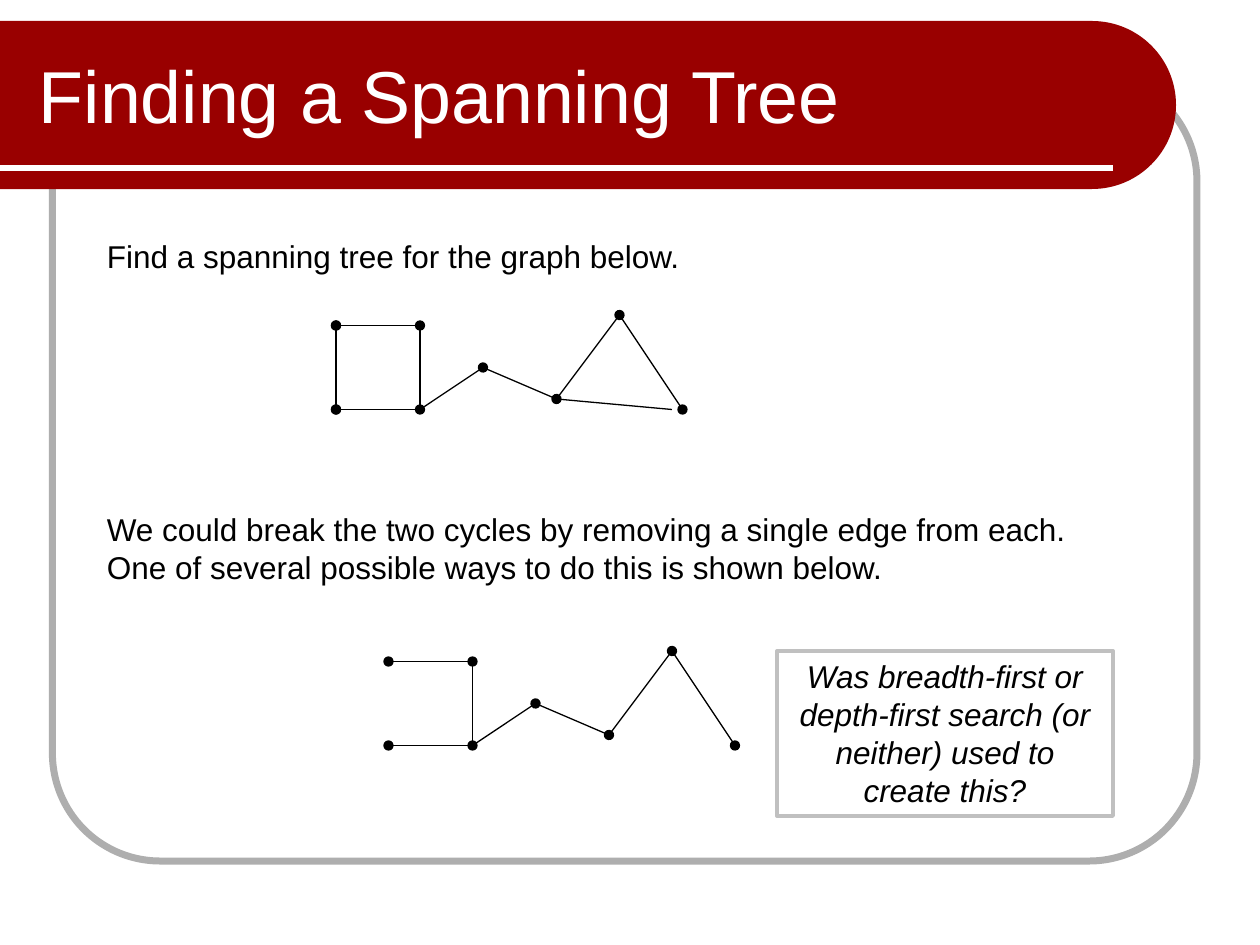
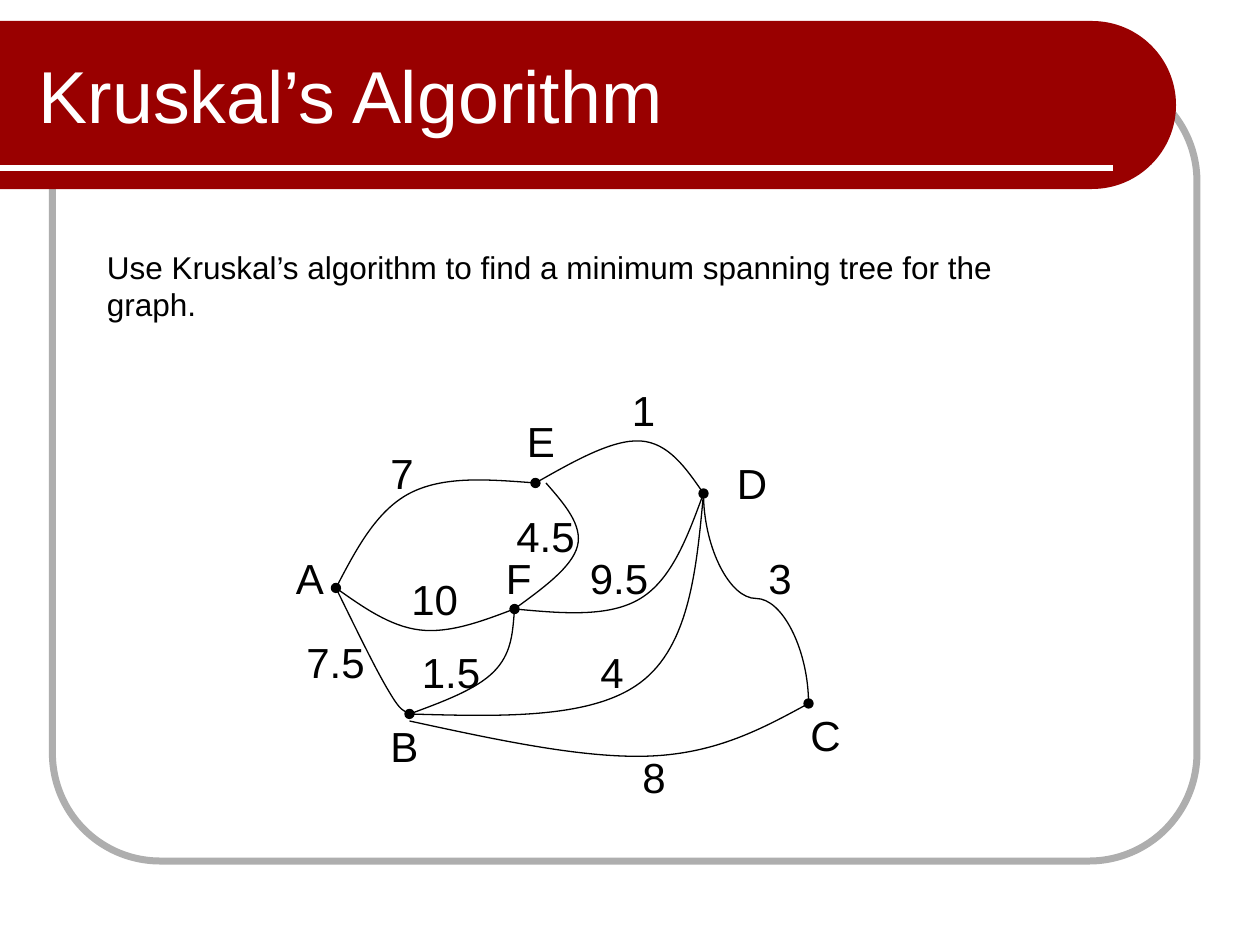
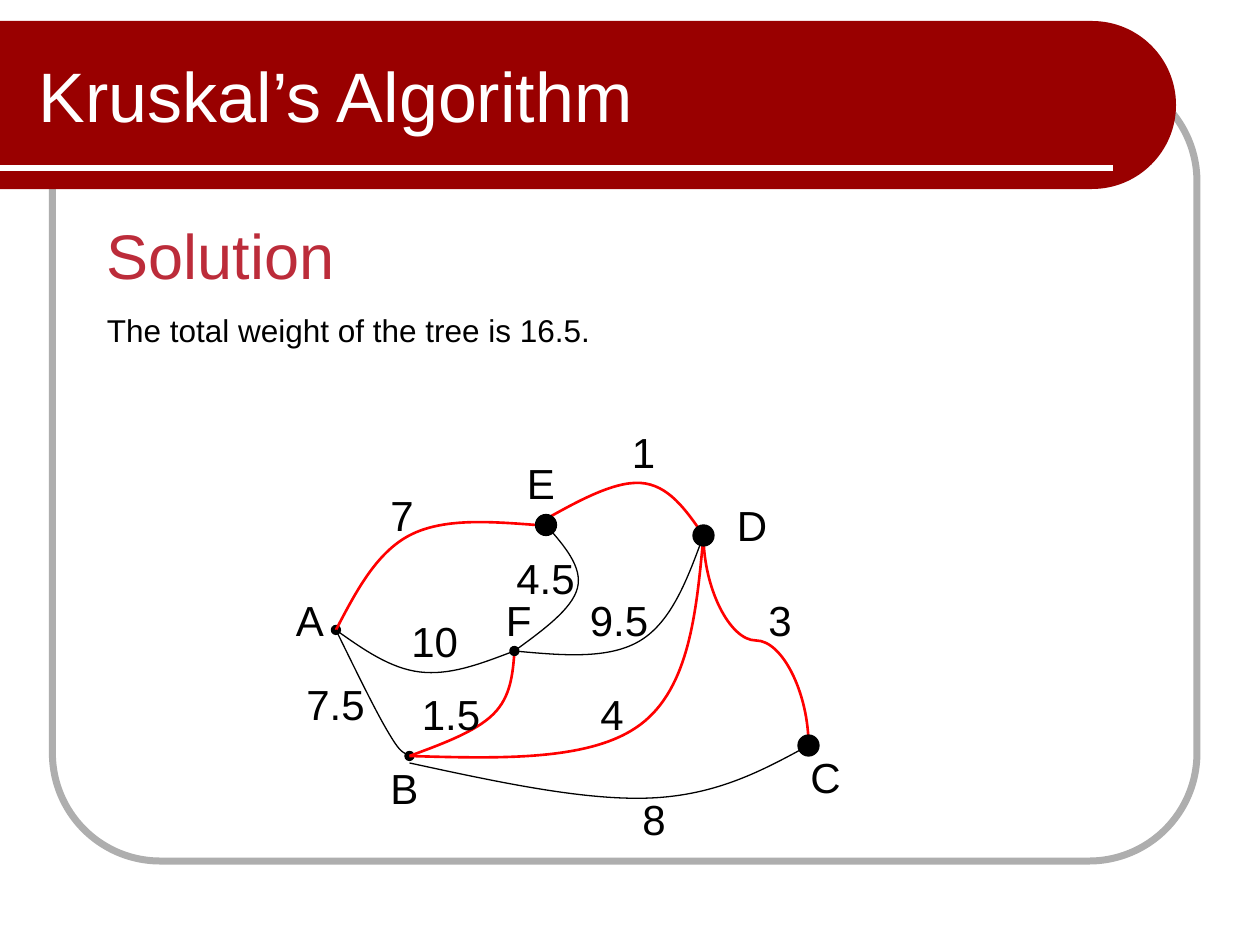
from dataclasses import dataclass
from typing import Any, NamedTuple

from lxml.etree import SubElement
from pptx import Presentation
from pptx.dml.color import RGBColor
from pptx.enum.shapes import MSO_CONNECTOR as Connector, MSO_SHAPE as Preset
from pptx.enum.text import MSO_ANCHOR as Anchor, MSO_AUTO_SIZE as AutoSize, PP_ALIGN as Align
from pptx.oxml.ns import qn
from pptx.util import Pt


class Point(NamedTuple):
    x: float
    y: float

    def shifted(self, by: "Point") -> "Point":
        return Point(self.x + by.x, self.y + by.y)


class Box(NamedTuple):
    left: float
    top: float
    width: float
    height: float

    def lengths(self) -> list[int]:
        return [Pt(value) for value in self]


@dataclass(frozen=True)
class Theme:
    font: str = "Arial"
    band: RGBColor = RGBColor(0x99, 0x00, 0x00)
    frame: RGBColor = RGBColor(0xAE, 0xAE, 0xAE)
    white: RGBColor = RGBColor(0xFF, 0xFF, 0xFF)
    ink: RGBColor = RGBColor(0x00, 0x00, 0x00)
    tree: RGBColor = RGBColor(0xFF, 0x00, 0x00)
    heading: RGBColor = RGBColor(0xBC, 0x2C, 0x3A)
    box_border: RGBColor = RGBColor(0xC0, 0xC0, 0xC0)
    title_size: float = 42
    small_title_size: float = 40
    heading_size: float = 36
    label_size: float = 24
    body_size: float = 18
    thin: float = 0.75
    thick: float = 1.5


THEME = Theme()
BOTH, HEAD, TAIL = ("headEnd", "tailEnd"), ("headEnd",), ("tailEnd",)


@dataclass(frozen=True)
class StraightEdge:
    start: str
    end: str
    dots: tuple[str, ...] = ()


@dataclass(frozen=True)
class CurvedEdge:
    """A smooth edge through three knots."""
    name: str
    start: Point
    middle: Point
    end: Point


@dataclass(frozen=True)
class Label:
    text: str
    left: float
    top: float


CYCLE_NODES = {
    "P": Point(192, 186), "Q": Point(240, 186), "R": Point(192, 234), "S": Point(240, 234),
    "T": Point(276, 210), "U": Point(318, 228), "V": Point(354, 180), "W": Point(390, 234),
    "near W": Point(384, 234),
}
TREE_EDGES = [
    StraightEdge("V", "U", BOTH), StraightEdge("T", "U", HEAD), StraightEdge("S", "T"),
    StraightEdge("R", "S", BOTH), StraightEdge("V", "W", TAIL),
    StraightEdge("P", "Q", BOTH), StraightEdge("Q", "S"),
]
CYCLE_EDGES = [StraightEdge("P", "R", BOTH), StraightEdge("U", "near W")]

A, B, C = Point(192, 336), Point(234, 408), Point(462, 402)
D, E, F = Point(402, 282), Point(306, 276), Point(294, 348)
BESIDE_E, BELOW_B = Point(312, 276), Point(234, 412)
CURVED_EDGES = [
    CurvedEdge("AB", A, Point(221, 393), B),
    CurvedEdge("AE", A, Point(234, 282), E),
    CurvedEdge("BF", B, Point(282, 384), F),
    CurvedEdge("AF", A, Point(240, 360), F),
    CurvedEdge("ED", E, Point(366, 252), D),
    CurvedEdge("FE", F, Point(330, 312), BESIDE_E),
    CurvedEdge("FD", F, Point(366, 342), D),
    CurvedEdge("BC", BELOW_B, Point(372, 432), C),
    CurvedEdge("BD", B, Point(366, 390), D),
]
LABELS = [
    Label("A", 162, 312), Label("C", 456, 402), Label("B", 216, 408),
    Label("D", 414, 258), Label("E", 294, 234), Label("F", 282, 312),
    Label("1", 354, 216), Label("7", 216, 252), Label("10", 228, 324),
    Label("7.5", 168, 360), Label("8", 360, 426), Label("3", 432, 312),
    Label("4", 336, 366), Label("9.5", 330, 312), Label("4.5", 288, 288),
    Label("1.5", 234, 366),
]


def set_format(target: Any, values: dict[str, Any]) -> None:
    for name, value in values.items():
        setattr(target, name, value)


def set_line(shape: Any, color: RGBColor, width: float, dots: tuple[str, ...] = ()) -> None:
    """Colour the outline and put an oval at each end named in dots."""
    shape.line.color.rgb = color
    shape.line.width = Pt(width)
    outline = shape.element.spPr.find(qn("a:ln"))
    for end in dots:
        SubElement(outline, qn(f"a:{end}"), type="oval")


def add_line(slide: Any, start: Point, end: Point, color: RGBColor, width: float,
             dots: tuple[str, ...] = (), kind: Any = Connector.STRAIGHT) -> Any:
    ends = [Pt(value) for value in (*start, *end)]
    line = slide.shapes.add_connector(kind, *ends)
    set_line(line, color, width, dots)
    SubElement(line.element.spPr, qn("a:effectLst"))
    return line


def add_preset(slide: Any, preset: Any, box: Box, color: RGBColor, width: float) -> Any:
    """Add an unfilled preset shape."""
    shape = slide.shapes.add_shape(preset, *box.lengths())
    shape.shadow.inherit = False
    shape.fill.background()
    set_line(shape, color, width)
    return shape


def add_outline(slide: Any, points: list[Point], curved: slice, close: bool) -> Any:
    """Add a freeform whose segments in the slice are grouped by three into Bézier curves."""
    first, *rest = [(Pt(point.x), Pt(point.y)) for point in points]
    builder = slide.shapes.build_freeform(*first)
    builder.add_line_segments(rest, close=close)
    shape = builder.convert_to_shape()
    shape.shadow.inherit = False
    path = next(shape.element.iter(qn("a:path")))
    segments = path.findall(qn("a:lnTo"))[curved]
    for triple in zip(segments[::3], segments[1::3], segments[2::3]):
        cubic = SubElement(path, qn("a:cubicBezTo"))
        triple[0].addprevious(cubic)
        for segment in triple:
            cubic.append(segment[0])
            path.remove(segment)
    return shape


def write(shape: Any, text: str, size: float, color: RGBColor, italic: bool = False,
          align: Any = Align.LEFT) -> Any:
    shape.text_frame.text = text
    paragraph = shape.text_frame.paragraphs[0]
    paragraph.alignment = align
    font = paragraph.runs[0].font
    set_format(font, {"name": THEME.font, "size": Pt(size), "italic": italic})
    font.color.rgb = color
    return paragraph


def add_text(slide: Any, box: Box, text: str, size: float = THEME.body_size,
             color: RGBColor = THEME.ink) -> None:
    shape = slide.shapes.add_textbox(*box.lengths())
    set_format(shape.text_frame, {"word_wrap": True, "auto_size": AutoSize.SHAPE_TO_FIT_TEXT})
    paragraph = write(shape, text, size, color)
    spacing = SubElement(paragraph._p.get_or_add_pPr(), qn("a:spcBef"))
    SubElement(spacing, qn("a:spcPct"), val="50000")


def add_titled_slide(presentation: Any, title: str, size: float = THEME.title_size) -> Any:
    slide = presentation.slides.add_slide(presentation.slide_layouts[5])
    shape = slide.shapes.title
    places = dict(zip(("left", "top", "width", "height"), Box(15, 18, 561, 72).lengths()))
    set_format(shape, places)
    set_format(shape.text_frame, {"word_wrap": True, "auto_size": AutoSize.NONE,
                                  "vertical_anchor": Anchor.MIDDLE})
    write(shape, title, size, THEME.white)
    return slide


def move_frame_to_layout(slide: Any) -> None:
    """Draw the grey frame and red band, then hand them to the layout all slides use."""
    frame = add_preset(slide, Preset.ROUNDED_RECTANGLE, Box(30, 42, 654, 450), THEME.frame, 4)
    frame.adjustments[0] = 0.137
    left, shoulder, right = 0, 624, 672
    top, middle, bottom = 12, 60, 108
    bend = 26.5
    corners = [
        Point(left, top), Point(shoulder, top),
        Point(shoulder + bend, top), Point(right, middle - bend), Point(right, middle),
        Point(right, middle + bend), Point(shoulder + bend, bottom), Point(shoulder, bottom),
        Point(left, bottom),
    ]
    band = add_outline(slide, corners, slice(1, 7), close=True)
    band.fill.solid()
    band.fill.fore_color.rgb = THEME.band
    band.line.fill.background()
    rule = add_line(slide, Point(0, 96), Point(636, 96), THEME.white, 3)
    for shape in (frame, band, rule):
        slide.slide_layout.shapes.element.append(shape.element)


def draw_straight_graph(slide: Any, edges: list[StraightEdge], shift: Point) -> None:
    for edge in edges:
        start, end = (CYCLE_NODES[name].shifted(shift) for name in (edge.start, edge.end))
        add_line(slide, start, end, THEME.ink, THEME.thin, edge.dots)


def smooth_points(start: Point, middle: Point, end: Point) -> list[Point]:
    """Give the knots and control points of two joined Bézier curves."""
    step = Point((end.x - start.x) / 6, (end.y - start.y) / 6)
    before = Point(middle.x - step.x, middle.y - step.y)
    after = middle.shifted(step)
    leaving = Point((start.x + before.x) / 2, (start.y + before.y) / 2)
    arriving = Point((end.x + after.x) / 2, (end.y + after.y) / 2)
    return [start, leaving, before, middle, after, arriving, end]


def draw_weighted_graph(slide: Any, shift: Point, dots: dict[str, tuple[str, ...]],
                        tree: tuple[str, ...] = ()) -> None:
    """Draw edges, with those in the tree highlighted, and then all labels."""
    def style(name: str) -> tuple[RGBColor, float, tuple[str, ...]]:
        pen = (THEME.tree, THEME.thick) if name in tree else (THEME.ink, THEME.thin)
        return *pen, dots.get(name, ())

    for edge in CURVED_EDGES:
        knots = [knot.shifted(shift) for knot in (edge.start, edge.middle, edge.end)]
        curve = add_outline(slide, smooth_points(*knots), slice(None), close=False)
        curve.fill.background()
        set_line(curve, *style(edge.name))

    # The connector lies on its side and is turned to leave D downwards.
    center = Point((D.x + C.x) / 2, (D.y + C.y) / 2).shifted(shift)
    half = Point((C.y - D.y) / 2, (C.x - D.x) / 2)
    bend = add_line(slide, Point(center.x - half.x, center.y - half.y), center.shifted(half),
                    *style("DC"), kind=Connector.CURVE)
    turned = bend.element.spPr.find(qn("a:xfrm"))
    turned.set("rot", str(270 * 60000))
    turned.set("flipH", "1")

    for label in LABELS:
        place = Point(label.left, label.top).shifted(shift)
        add_text(slide, Box(*place, 120, 36), label.text, THEME.label_size)


def add_node(slide: Any, center: Point) -> None:
    radius = 6
    box = Box(center.x - radius, center.y - radius, 2 * radius, 2 * radius)
    node = add_preset(slide, Preset.OVAL, box, THEME.ink, THEME.thin)
    node.fill.solid()
    node.fill.fore_color.rgb = THEME.ink


def build_spanning_tree(presentation: Any) -> None:
    slide = add_titled_slide(presentation, "Finding a Spanning Tree")
    move_frame_to_layout(slide)
    add_text(slide, Box(54, 132, 570, 41), "Find a spanning tree for the graph below.")
    draw_straight_graph(slide, CYCLE_EDGES + TREE_EDGES, Point(0, 0))
    add_text(slide, Box(54, 288, 576, 51),
             "We could break the two cycles by removing a single edge from each. "
             "One of several possible ways to do this is shown below.")
    draw_straight_graph(slide, TREE_EDGES, Point(30, 192))
    question = add_preset(slide, Preset.RECTANGLE, Box(444, 372, 192, 94.3),
                          THEME.box_border, 2.25)
    set_format(question.text_frame, {"word_wrap": True, "vertical_anchor": Anchor.TOP,
                                     "auto_size": AutoSize.SHAPE_TO_FIT_TEXT})
    write(question, "Was breadth-first or depth-first search (or neither) used to create this?",
          THEME.body_size, THEME.ink, italic=True, align=Align.CENTER)


def build_kruskal_task(presentation: Any) -> None:
    slide = add_titled_slide(presentation, "Kruskal’s Algorithm")
    draw_weighted_graph(slide, Point(0, 0), {"AB": BOTH, "AE": TAIL, "BF": TAIL, "DC": BOTH})
    add_text(slide, Box(54, 138, 576, 74),
             "Use Kruskal’s algorithm to find a minimum spanning tree for the graph.")


def build_kruskal_solution(presentation: Any) -> None:
    slide = add_titled_slide(presentation, "Kruskal’s Algorithm", THEME.small_title_size)
    add_text(slide, Box(54, 120, 486, 50.4), "Solution", THEME.heading_size, THEME.heading)
    shift = Point(0, 24)
    draw_weighted_graph(slide, shift, {"AB": BOTH, "AF": TAIL},
                        tree=("AE", "BF", "ED", "BD", "DC"))
    add_text(slide, Box(54, 174, 582, 41), "The total weight of the tree is 16.5.")
    for node in (D, C, BESIDE_E):
        add_node(slide, node.shifted(shift))


def main() -> None:
    presentation = Presentation()
    set_format(presentation, {"slide_width": Pt(720), "slide_height": Pt(540)})
    build_spanning_tree(presentation)
    build_kruskal_task(presentation)
    build_kruskal_solution(presentation)
    presentation.save("out.pptx")


if __name__ == "__main__":
    main()
